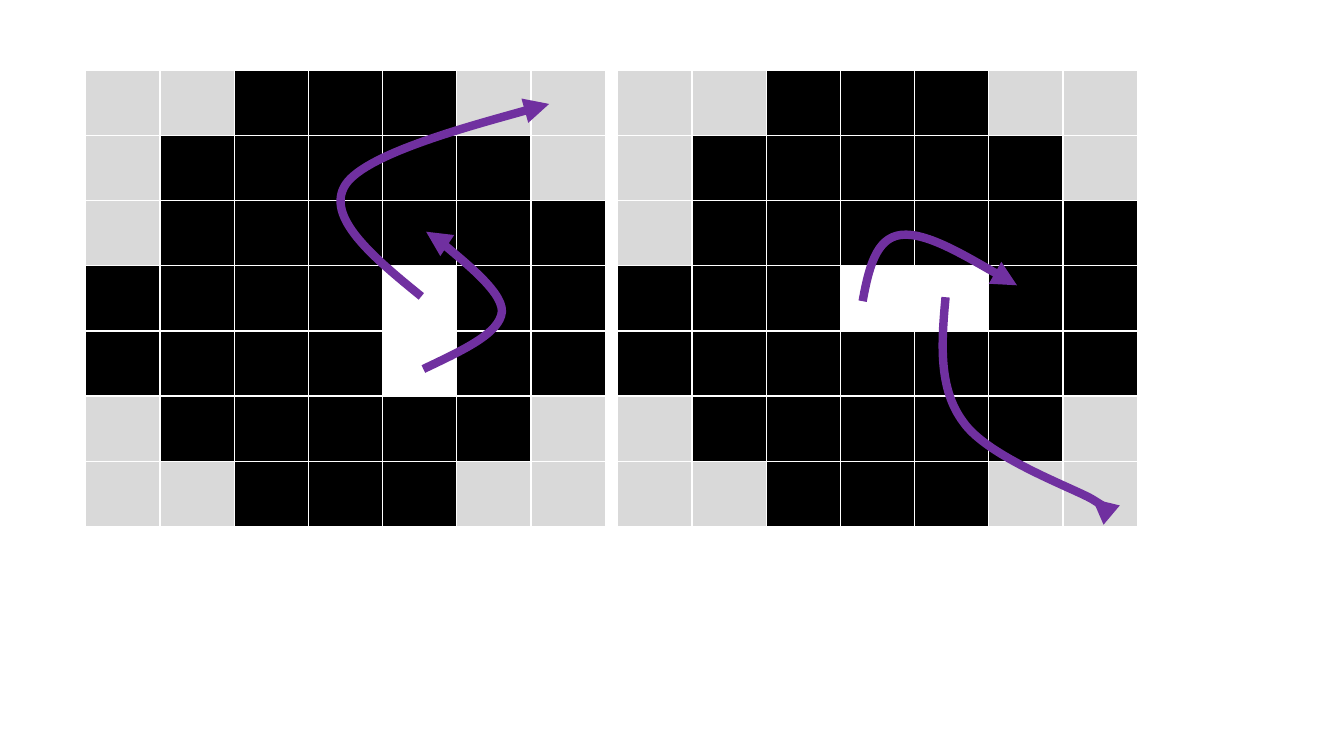
from dataclasses import dataclass

from lxml import etree
from pptx import Presentation
from pptx import util as u
from pptx.dml import color
from pptx.oxml import ns

Point = tuple[float, float]


@dataclass
class Board:
    left: float
    rows: list[str]


@dataclass
class Arrow:
    left: float
    top: float
    width: float
    height: float
    start: Point
    curves: list[tuple[Point, Point, Point]]


TOP = 1.78
CELL_W, CELL_H = 1.87, 1.64
LINE = "7030A0"
FILLS = {"g": "D9D9D9", "k": "000000", "w": "FFFFFF"}
HEAD = ["ggkkkgg", "gkkkkkg", "gkkkkkk"]
TAIL = ["gkkkkkg", "ggkkkgg"]

BOARDS = [
    Board(2.16, HEAD + ["kkkkwkk", "kkkkwkk"] + TAIL),
    Board(15.57, HEAD + ["kkk.wkk", "kkkkkkk"] + TAIL),
]

ARROWS = [
    Arrow(8.59, 2.62, 5.26, 4.85, (10.62, 7.47), [
        ((9.4, 6.48), (8.18, 5.46), (8.71, 4.65)),
        ((9.25, 3.84), (13.84, 2.62), (13.84, 2.62)),
    ]),
    Arrow(10.67, 5.72, 1.96, 3.58, (10.67, 9.3), [
        ((11.63, 8.84), (12.6, 8.41), (12.65, 7.85)),
        ((12.67, 7.29), (11.25, 6.27), (10.95, 5.94)),
        ((10.62, 5.61), (10.67, 5.72), (10.74, 5.84)),
    ]),
    Arrow(21.74, 5.92, 3.89, 1.68, (21.74, 7.59), [
        ((21.89, 6.78), (22.07, 5.99), (22.71, 5.92)),
        ((23.37, 5.84), (25.63, 7.19), (25.63, 7.19)),
    ]),
    Arrow(23.75, 7.49, 4.06, 5.26, (23.83, 7.49), [
        ((23.72, 8.66), (23.65, 9.8), (24.28, 10.64)),
        ((24.89, 11.51), (26.97, 12.27), (27.51, 12.57)),
        ((28.04, 12.9), (27.79, 12.75), (27.53, 12.57)),
    ]),
]


def paint(fill, shade: str) -> None:
    fill.solid()
    fill.fore_color.rgb = color.RGBColor.from_string(shade)


def add_node(owner, tag: str, **attrs: str):
    return etree.SubElement(owner, ns.qn(tag), **attrs)


def add_edges(cell) -> None:
    props = cell._tc.get_or_add_tcPr()
    for side in "LRTB":
        edge = add_node(props, f"a:ln{side}", w=str(u.Pt(1)))
        solid = add_node(edge, "a:solidFill")
        add_node(solid, "a:srgbClr", val="FFFFFF")


def draw_board(slide, board: Board) -> None:
    count = len(board.rows)
    grid = slide.shapes.add_table(
        count, count, u.Cm(board.left), u.Cm(TOP),
        u.Cm(CELL_W * count), u.Cm(CELL_H * count),
    ).table
    grid.first_row = grid.horz_banding = False
    for column in grid.columns:
        column.width = u.Cm(CELL_W)
    for y, row in enumerate(board.rows):
        grid.rows[y].height = u.Cm(CELL_H)
        for x, code in enumerate(row):
            cell = grid.cell(y, x)
            add_edges(cell)
            if code in FILLS:
                paint(cell.fill, FILLS[code])
            else:
                cell.fill.background()


def draw_arrow(slide, arrow: Arrow) -> None:
    left, top = u.Cm(arrow.left), u.Cm(arrow.top)
    end = (left + u.Cm(arrow.width), top + u.Cm(arrow.height))
    pen = slide.shapes.build_freeform(left, top)
    pen.add_line_segments([end], close=False)
    shape = pen.convert_to_shape()
    shape.shadow.inherit = False
    shape.fill.background()
    paint(shape.line.fill, LINE)
    shape.line.width = u.Pt(6)

    props = shape.element.spPr
    add_node(props.find(ns.qn("a:ln")), "a:tailEnd", type="triangle")
    track = next(props.iter(ns.qn("a:path")))
    for step in list(track):
        track.remove(step)
    steps = [("a:moveTo", (arrow.start,))]
    steps += [("a:cubicBezTo", curve) for curve in arrow.curves]
    for tag, points in steps:
        step = add_node(track, tag)
        for x, y in points:
            add_node(step, "a:pt", x=str(u.Cm(x) - left), y=str(u.Cm(y) - top))


def main() -> None:
    deck = Presentation()
    deck.slide_width, deck.slide_height = u.Cm(33.87), u.Cm(19.05)
    slide = deck.slides.add_slide(deck.slide_layouts[6])
    for board in BOARDS:
        draw_board(slide, board)
    for arrow in ARROWS:
        draw_arrow(slide, arrow)
    deck.save("out.pptx")


if __name__ == "__main__":
    main()
